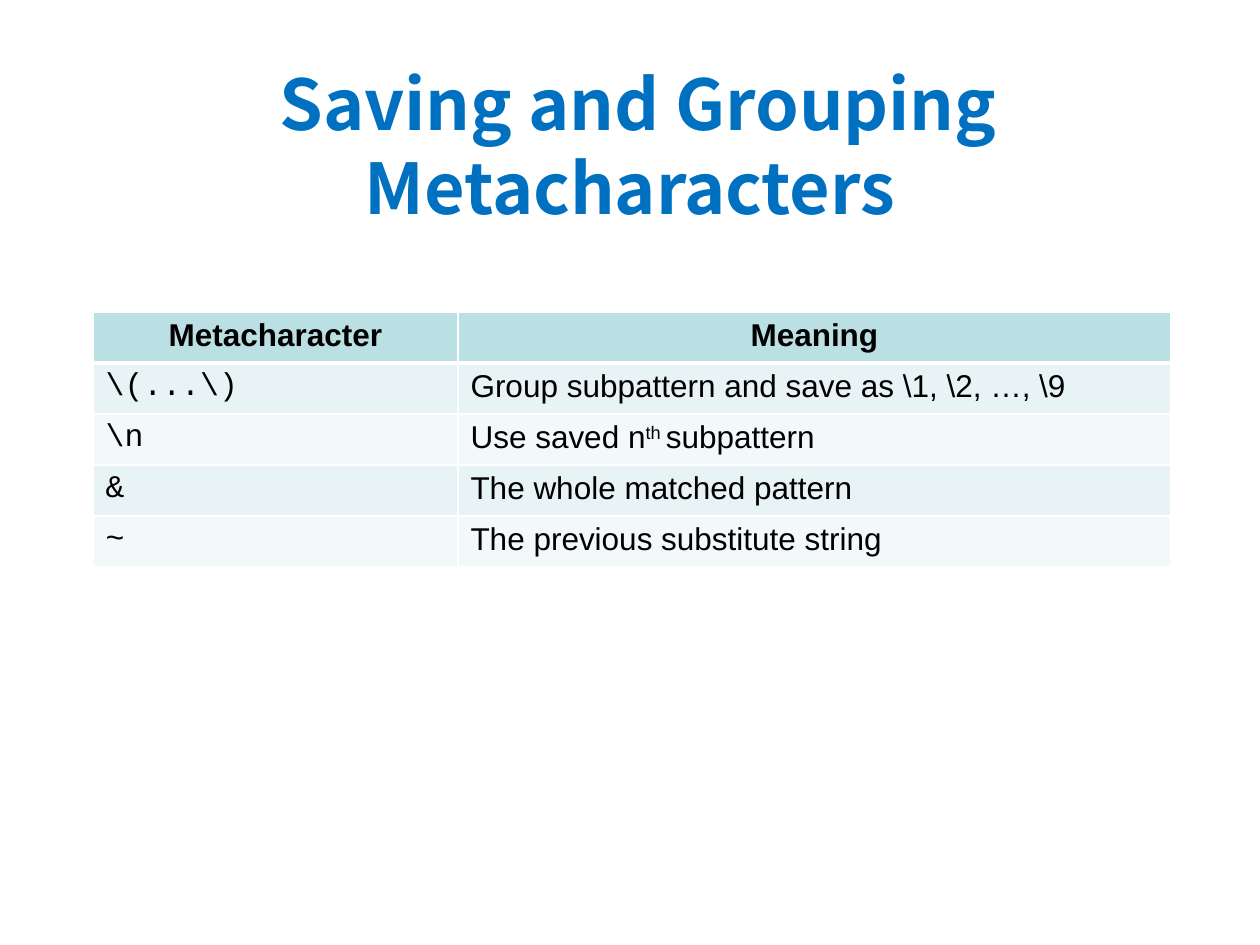
"""Build a slide with a table of saving and grouping metacharacters."""
import pptx
import pptx.dml.color
import pptx.enum.text
import pptx.oxml.ns
import pptx.util
from lxml import etree

COLORS = {
    "title": "0070C0",
    "text": "000000",
    "header": "BBE0E3",
    "odd": "E7F3F4",
    "even": "F3F9FA",
    "rule": "FFFFFF",
}
PROSE, CODE, HEADING = "Arial", "Courier New", "Noto Sans CJK SC"
HEADERS = ("Metacharacter", "Meaning")
ENTRIES = [
    (r"\(...\)", [(r"Group subpattern and save as \1, \2, …, \9", 0)]),
    (r"\n", [("Use saved n", 0), ("th ", 30), ("subpattern", 0)]),
    ("&", [("The whole matched pattern", 0)]),
    ("~", [("The previous substitute string", 0)]),
]


def px(length):
    return pptx.util.Emu(round(length * 914400 / 126))


def rgb(name):
    return pptx.dml.color.RGBColor.from_string(COLORS[name])


def add_text(paragraph, text, font=PROSE, size=18, color="text", bold=False, raised=0):
    run = paragraph.add_run()
    run.text = text
    run.font.name = font
    run.font.size = pptx.util.Pt(size)
    run.font.bold = bold
    run.font.color.rgb = rgb(color)
    if raised:
        run.font._element.set("baseline", str(raised * 1000))


class SlideBuilder:
    def __init__(self, deck):
        self.slide = deck.slides.add_slide(deck.slide_layouts[5])
        self.center = pptx.enum.text.PP_ALIGN.CENTER

    def title(self, text, left, top, width, height):
        heading = self.slide.shapes.title
        heading.left, heading.top = px(left), px(top)
        heading.width, heading.height = px(width), px(height)
        frame = heading.text_frame
        frame.word_wrap = True
        frame.auto_size = pptx.enum.text.MSO_AUTO_SIZE.NONE
        frame.vertical_anchor = pptx.enum.text.MSO_ANCHOR.MIDDLE
        paragraph = frame.paragraphs[0]
        paragraph.alignment = self.center
        paragraph.line_spacing = pptx.util.Pt(48)
        add_text(paragraph, text, font=HEADING, size=40, color="title", bold=True)

    def borders(self, cell, **widths):
        properties = cell._tc.get_or_add_tcPr()
        for index, side in enumerate("LRTB"):
            line = etree.Element(pptx.oxml.ns.qn(f"a:ln{side}"))
            line.set("w", str(pptx.util.Pt(widths.get(side, 1))))
            fill = etree.SubElement(line, pptx.oxml.ns.qn("a:solidFill"))
            etree.SubElement(fill, pptx.oxml.ns.qn("a:srgbClr"), val=COLORS["rule"])
            properties.insert(index, line)

    def cell(self, cell, runs, fill, centered=False, rules=None, **style):
        cell.fill.solid()
        cell.fill.fore_color.rgb = rgb(fill)
        self.borders(cell, **(rules or {}))
        paragraph = cell.text_frame.paragraphs[0]
        if centered:
            paragraph.alignment = self.center
        for text, raised in runs:
            add_text(paragraph, text, raised=raised, **style)

    def table(self, headers, entries, left, top, widths, row_height):
        rows = len(entries) + 1
        grid = self.slide.shapes.add_table(
            rows, len(widths), px(left), px(top), px(sum(widths)), px(rows * row_height)
        ).table
        for column, width in zip(grid.columns, widths):
            column.width = px(width)
        for row in grid.rows:
            row.height = px(row_height)
        for column, header in enumerate(headers):
            self.cell(grid.cell(0, column), [(header, 0)], "header",
                      centered=True, rules={"B": 3}, bold=True)
        for row, (symbol, meaning) in enumerate(entries, start=1):
            fill = "odd" if row % 2 else "even"
            rules = {"T": 3} if row == 1 else None
            self.cell(grid.cell(row, 0), [(symbol, 0)], fill, rules=rules, font=CODE)
            self.cell(grid.cell(row, 1), meaning, fill, rules=rules)


def main():
    deck = pptx.Presentation()
    deck.slide_width, deck.slide_height = px(1260), px(945)
    builder = SlideBuilder(deck)
    builder.title(" Saving and Grouping Metacharacters", 0, 66, 1260, 158)
    builder.table(HEADERS, ENTRIES, 93, 312, (365, 713), 51)
    deck.save("out.pptx")


if __name__ == "__main__":
    main()
